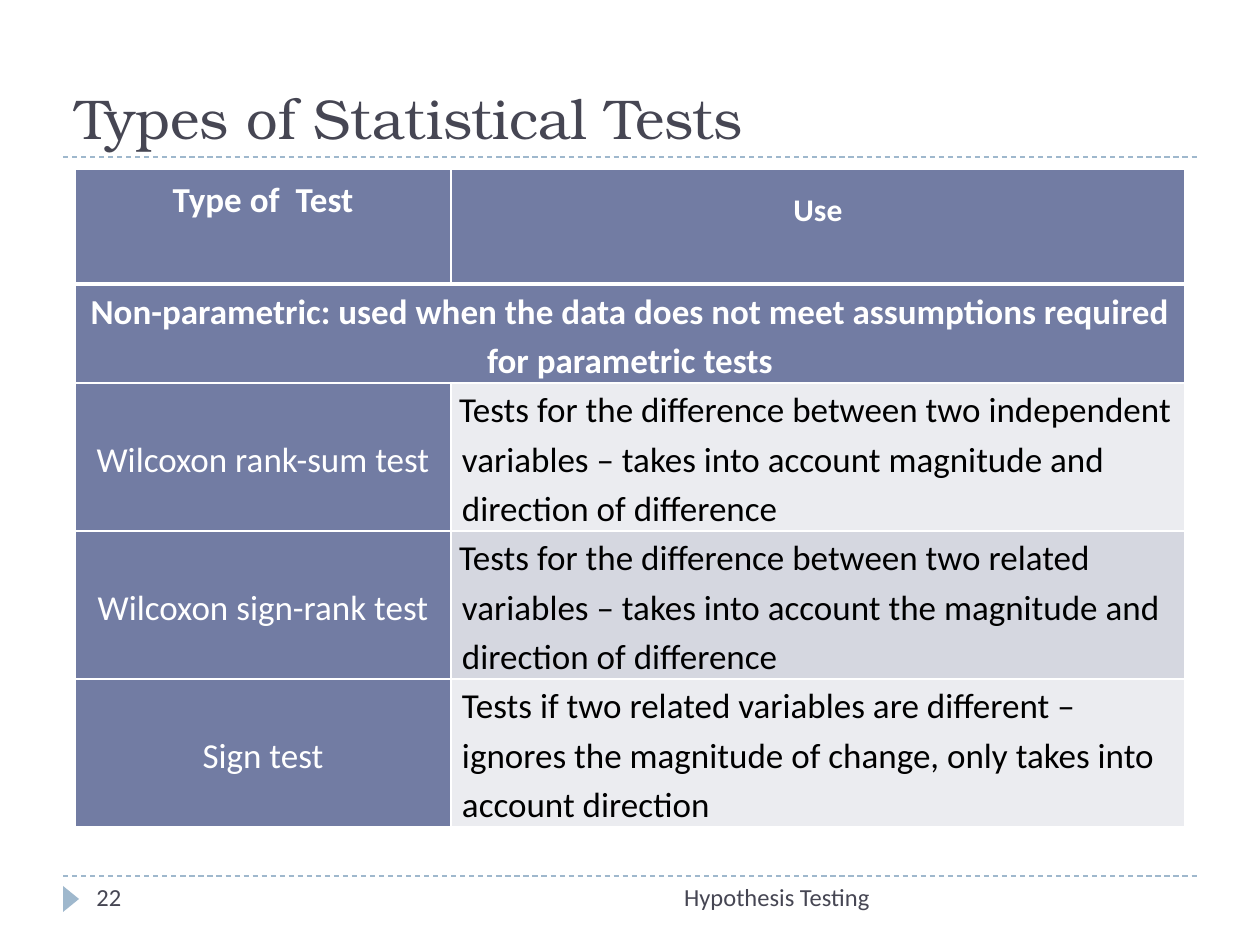
import lxml.etree
import pptx
import pptx.dml.color
import pptx.enum.dml
import pptx.enum.shapes
import pptx.enum.text
import pptx.oxml.ns
import pptx.util

EMU_PER_PX = 914400 / 126
COLORS = {
    "ink": "464653", "accent": "9FB8CD", "header": "727CA3",
    "light": "EBECF0", "dark": "D5D7E0", "white": "FFFFFF", "black": "000000",
}
ALIGN = pptx.enum.text.PP_ALIGN
ANCHOR = pptx.enum.text.MSO_ANCHOR

COLUMN_WIDTHS = [376, 734]
ROW_HEIGHTS = [115, 99, 148, 148, 148]
GROUP_HEADING = ("Non-parametric:\u00a0used when the data does not meet assumptions "
                 "required for parametric tests")
# Name of the test, its use, first-line indent in px, fill of the use
TESTS = [
    ("Wilcoxon rank-sum test",
     "Tests for the difference between two independent variables – takes into "
     "account magnitude and direction of difference", -3, "light"),
    ("Wilcoxon sign-rank test",
     "Tests for the difference between two related variables – takes into "
     "account the magnitude and direction of difference", -3, "dark"),
    ("Sign test",
     "Tests if two related variables are different – ignores the magnitude of "
     "change, only takes into account direction", 0, "light"),
]


def px(length):
    return pptx.util.Emu(round(length * EMU_PER_PX))


def rgb(name):
    return pptx.dml.color.RGBColor.from_string(COLORS[name])


def add_run(paragraph, text, size, color, bold=False, font="Calibri"):
    run = paragraph.add_run()
    run.text = text
    run.font.name = font
    run.font.size = pptx.util.Pt(size)
    run.font.bold = bold
    run.font.color.rgb = rgb(color)


def add_label(slide, box, text, size, align=ALIGN.LEFT, anchor=ANCHOR.TOP, font="Calibri"):
    frame = slide.shapes.add_textbox(*map(px, box)).text_frame
    frame.word_wrap = True
    frame.vertical_anchor = anchor
    paragraph = frame.paragraphs[0]
    paragraph.alignment = align
    add_run(paragraph, text, size, "ink", font=font)


def add_rule(slide, y):
    """Dashed horizontal line between the slide margins."""
    rule = slide.shapes.add_connector(
        pptx.enum.shapes.MSO_CONNECTOR.STRAIGHT, px(63), px(y), px(1197), px(y))
    rule.line.color.rgb = rgb("accent")
    rule.line.width = pptx.util.Pt(0.75)
    rule.line.dash_style = pptx.enum.dml.MSO_LINE.DASH
    lxml.etree.SubElement(rule.element.spPr, pptx.oxml.ns.qn("a:effectLst"))


def add_page_marker(slide):
    marker = slide.shapes.add_shape(
        pptx.enum.shapes.MSO_SHAPE.ISOSCELES_TRIANGLE, px(58), px(891), px(26), px(16))
    marker.rotation = 90
    marker.shadow.inherit = False
    marker.fill.solid()
    marker.fill.fore_color.rgb = rgb("accent")
    marker.line.fill.background()


def set_borders(cell, top=1, bottom=1):
    """White borders; widths in points."""
    qn = pptx.oxml.ns.qn
    properties = cell._tc.get_or_add_tcPr()
    for side, width in (("L", 1), ("R", 1), ("T", top), ("B", bottom)):
        line = lxml.etree.SubElement(
            properties, qn(f"a:ln{side}"), w=str(pptx.util.Pt(width)))
        fill = lxml.etree.SubElement(line, qn("a:solidFill"))
        lxml.etree.SubElement(fill, qn("a:srgbClr"), val=COLORS["white"])


def style_cell(cell, fill, anchor=ANCHOR.MIDDLE, bottom_margin=0):
    cell.fill.solid()
    cell.fill.fore_color.rgb = rgb(fill)
    cell.vertical_anchor = anchor
    cell.margin_left = cell.margin_right = cell.margin_top = 0
    cell.margin_bottom = px(bottom_margin)


def start_paragraph(cell, align=ALIGN.CENTER, spacing=1.15, after=10):
    paragraph = cell.text_frame.paragraphs[0]
    paragraph.alignment = align
    paragraph.line_spacing = spacing
    paragraph.space_after = pptx.util.Pt(after)
    return paragraph


def fill_heading_cell(cell, text, size=20, bold=True, **style):
    style_cell(cell, "header", **style)
    add_run(start_paragraph(cell), text, size, "white", bold)


def fill_use_cell(cell, text, indent, fill):
    style_cell(cell, fill)
    paragraph = start_paragraph(cell, ALIGN.LEFT)
    properties = paragraph._p.get_or_add_pPr()
    properties.set("marL", str(px(11)))
    properties.set("indent", str(px(indent)))
    add_run(paragraph, text, 20, "black")


def add_tests_table(slide):
    table = slide.shapes.add_table(
        len(ROW_HEIGHTS), len(COLUMN_WIDTHS), px(75), px(169),
        px(sum(COLUMN_WIDTHS)), px(sum(ROW_HEIGHTS))).table
    table.first_row = table.horz_banding = False
    for column, width in zip(table.columns, COLUMN_WIDTHS):
        column.width = px(width)
    for index, (row, height) in enumerate(zip(table.rows, ROW_HEIGHTS)):
        row.height = px(height)
        for cell in row.cells:
            set_borders(cell, top=3 if index == 1 else 1, bottom=3 if index == 0 else 1)

    fill_heading_cell(table.cell(0, 0), "Type of  Test", anchor=ANCHOR.TOP)
    table.cell(0, 0).text_frame.paragraphs[0].space_before = 0
    table.cell(0, 0).margin_top = px(4)
    fill_heading_cell(table.cell(0, 1), "Use", size=18, bottom_margin=38)
    table.cell(1, 0).merge(table.cell(1, 1))
    fill_heading_cell(table.cell(1, 0), GROUP_HEADING)
    for row, (name, use, indent, fill) in enumerate(TESTS, start=2):
        fill_heading_cell(table.cell(row, 0), name, bold=False)
        fill_use_cell(table.cell(row, 1), use, indent, fill)


def main():
    presentation = pptx.Presentation()
    presentation.slide_width, presentation.slide_height = px(1260), px(945)
    slide = presentation.slides.add_slide(presentation.slide_layouts[6])
    for y in (876, 157):
        add_rule(slide, y)
    add_page_marker(slide)
    add_label(slide, (63, 21, 1134, 136), "Types of Statistical Tests", 32,
              anchor=ANCHOR.BOTTOM, font="TeX Gyre Bonum")
    add_label(slide, (399, 876, 483, 50), "Hypothesis Testing", 14, align=ALIGN.RIGHT)
    add_label(slide, (84, 876, 273, 50), "22", 14)
    add_tests_table(slide)
    presentation.save("out.pptx")


if __name__ == "__main__":
    main()
